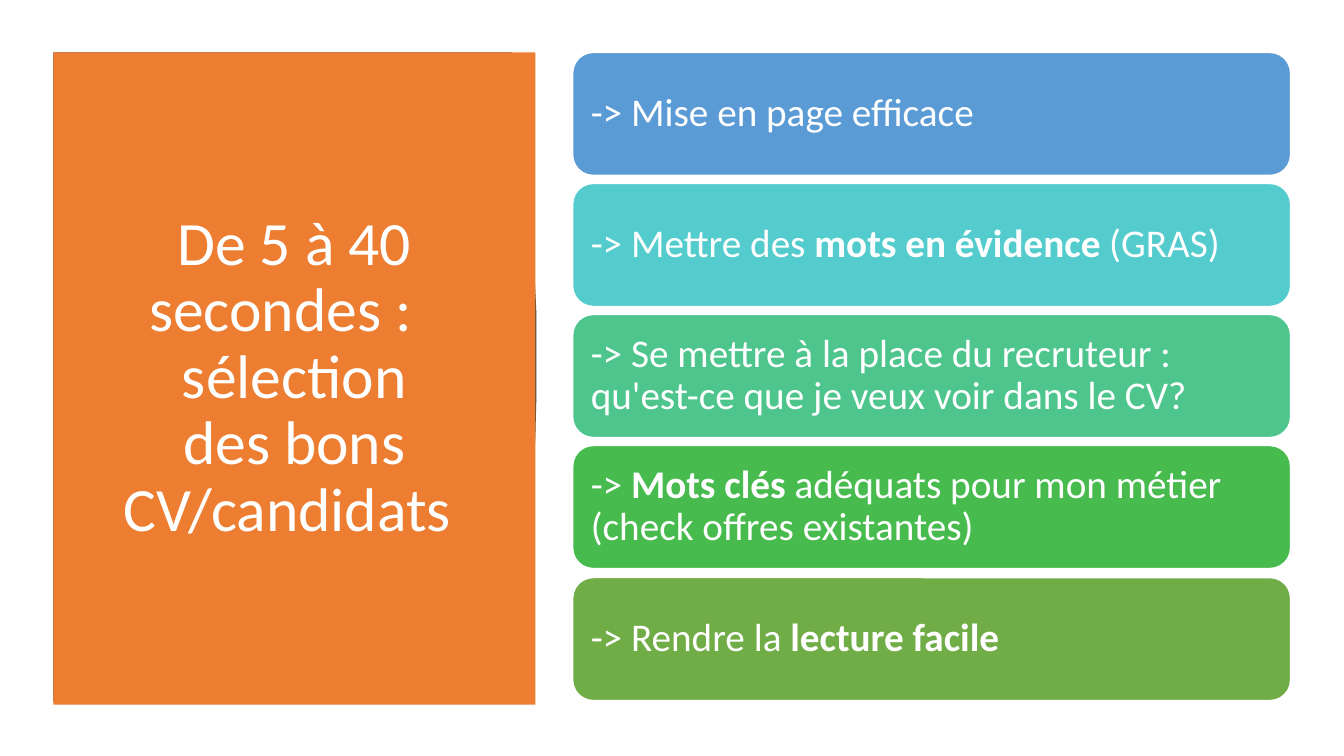
from dataclasses import dataclass

from pptx import Presentation
from pptx.dml.color import RGBColor
from pptx.enum.shapes import MSO_SHAPE
from pptx.enum.text import MSO_ANCHOR, PP_ALIGN
from pptx.shapes.autoshape import Shape
from pptx.slide import Slide
from pptx.util import Emu, Pt

RECTANGLE = MSO_SHAPE.RECTANGLE
ROUNDED = MSO_SHAPE.ROUNDED_RECTANGLE
MIDDLE = MSO_ANCHOR.MIDDLE
LEFT = PP_ALIGN.LEFT
CENTER = PP_ALIGN.CENTER
EMU_PER_PX = 9144


@dataclass(frozen=True)
class Theme:
    font: str = "Calibri"
    title_size: int = 44
    card_size: int = 28
    line_spacing: float = 0.9
    white: str = "FFFFFF"
    backdrop: str = "404040"
    panel: str = "ED7D31"


@dataclass(frozen=True)
class Span:
    text: str
    bold: bool = False


@dataclass(frozen=True)
class Block:
    left: int
    top: int
    width: int
    height: int
    fill: str
    lines: tuple[tuple[Span, ...], ...]
    size: int
    inset_x: int
    inset_y: int
    kind: MSO_SHAPE = ROUNDED
    align: PP_ALIGN = LEFT
    outline: str | None = None


THEME = Theme()
SLIDE_WIDTH, SLIDE_HEIGHT = 1333, 750
BACKDROP_OUTLINE = (
    (53, 52), (508, 52), (514, 89), (520, 134), (524, 179), (528, 224),
    (530, 268), (532, 311), (532, 394), (531, 433), (528, 495), (523, 561),
    (518, 617), (513, 661), (508, 696), (53, 696),
)
TITLE = Block(
    53, 52, 478, 647, THEME.panel,
    ((Span("De 5 à 40 secondes :   sélection"),),
     (Span("des bons CV/candidats "),)),
    THEME.title_size, 10, 5, RECTANGLE, CENTER,
)
CARD_LEFT, CARD_TOP, CARD_WIDTH, CARD_HEIGHT = 568, 52, 712, 122
LAST_CARD_OFFSET = 521
CARD_INSET = 12
CARDS = (
    ("5B9BD5", (Span("-> Mise en page efficace"),)),
    ("54CCCD", (Span("-> Mettre des "), Span("mots en évidence ", True),
                Span("(GRAS)"))),
    ("4DC58D", (Span("-> Se mettre à la place du recruteur : "
                     "qu'est-ce que je veux voir dans le CV?"),)),
    ("48BB4F", (Span("-> "), Span("Mots clés ", True),
                Span("adéquats pour mon métier (check offres existantes)"))),
    ("70AD47", (Span("-> Rendre la"), Span(" lecture facile ", True))),
)


def px(value: int) -> Emu:
    return Emu(value * EMU_PER_PX)


def apply(target: object, values: dict[str, object]) -> None:
    for name, value in values.items():
        setattr(target, name, value)


def paint(shape: Shape, fill: str, outline: str | None = None) -> None:
    shape.shadow.inherit = False
    shape.fill.solid()
    shape.fill.fore_color.rgb = RGBColor.from_string(fill)
    if outline is None:
        shape.line.fill.background()
    else:
        shape.line.color.rgb = RGBColor.from_string(outline)
        shape.line.width = Pt(1)


def draw_backdrop(page: Slide) -> None:
    start, *points = BACKDROP_OUTLINE
    builder = page.shapes.build_freeform(*start, scale=EMU_PER_PX)
    builder.add_line_segments(points, close=True)
    paint(builder.convert_to_shape(), THEME.backdrop)


def draw_block(page: Slide, block: Block) -> None:
    box = page.shapes.add_shape(
        block.kind, px(block.left), px(block.top),
        px(block.width), px(block.height),
    )
    paint(box, block.fill, block.outline)
    apply(box.text_frame, {
        "word_wrap": True,
        "vertical_anchor": MIDDLE,
        "margin_left": px(block.inset_x),
        "margin_right": px(block.inset_x),
        "margin_top": px(block.inset_y),
        "margin_bottom": px(block.inset_y),
    })
    para = box.text_frame.paragraphs[0]
    apply(para, {"alignment": block.align, "line_spacing": THEME.line_spacing})
    for number, line in enumerate(block.lines):
        if number:
            para.add_line_break()
        for span in line:
            run = para.add_run()
            run.text = span.text
            apply(run.font, {"name": THEME.font, "size": Pt(block.size),
                             "bold": span.bold})
            run.font.color.rgb = RGBColor.from_string(THEME.white)


def main() -> None:
    deck = Presentation()
    apply(deck, {"slide_width": px(SLIDE_WIDTH),
                 "slide_height": px(SLIDE_HEIGHT)})
    page = deck.slides.add_slide(deck.slide_layouts[6])
    draw_backdrop(page)
    draw_block(page, TITLE)
    for index, (fill, spans) in enumerate(CARDS):
        top = CARD_TOP + LAST_CARD_OFFSET * index // (len(CARDS) - 1)
        draw_block(page, Block(
            CARD_LEFT, top, CARD_WIDTH, CARD_HEIGHT, fill, (spans,),
            THEME.card_size, CARD_INSET, CARD_INSET, outline=THEME.white,
        ))
    deck.save("out.pptx")


if __name__ == "__main__":
    main()
